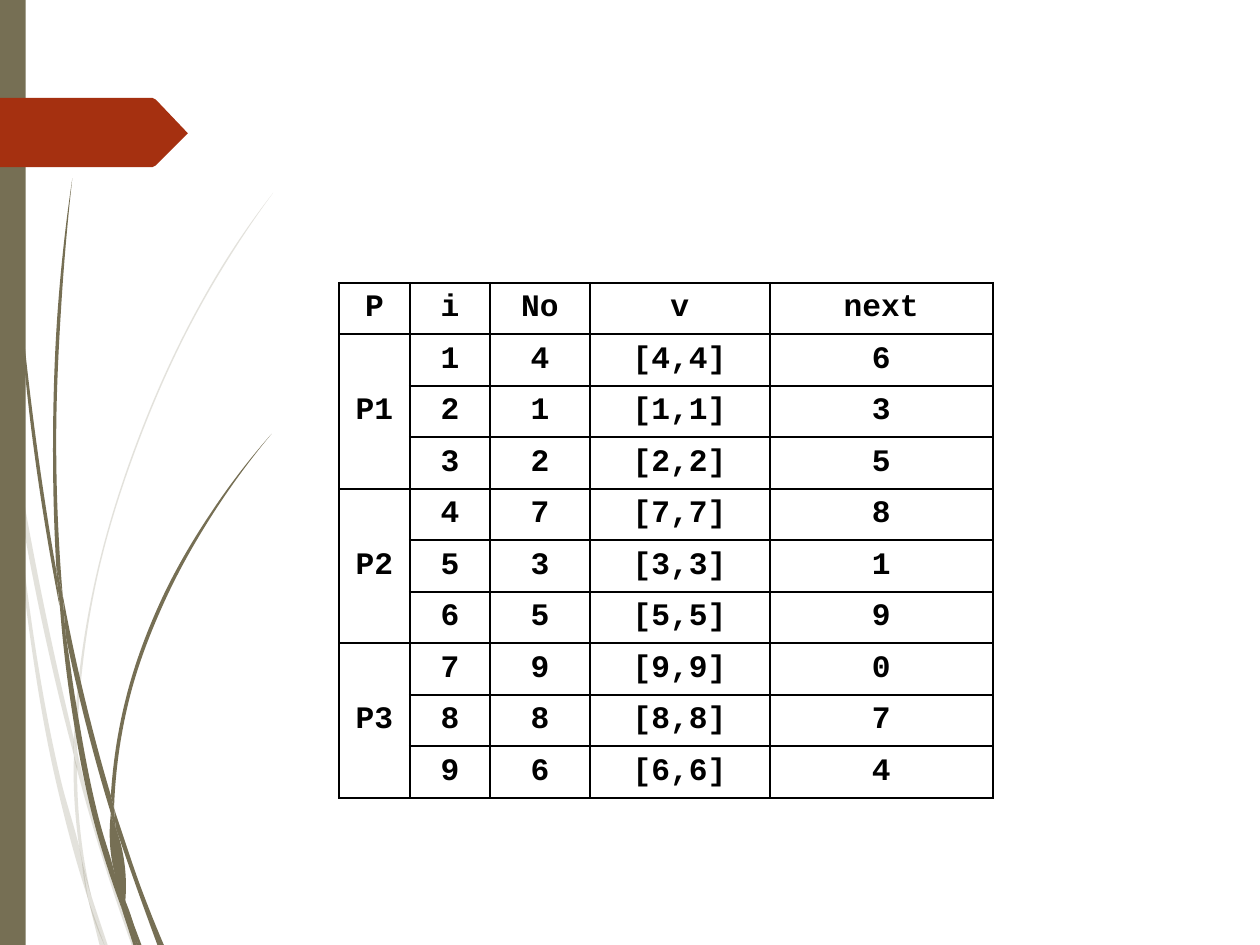
from dataclasses import dataclass
from math import dist

from lxml import etree
from pptx import Presentation
from pptx.dml.color import RGBColor
from pptx.enum.shapes import MSO_SHAPE
from pptx.enum.text import MSO_ANCHOR, PP_ALIGN
from pptx.oxml.ns import qn
from pptx.util import Inches, Pt

RECT = MSO_SHAPE.RECTANGLE
MIDDLE = MSO_ANCHOR.MIDDLE
CENTER = PP_ALIGN.CENTER
COLORS = {"olive": "766F54", "rust": "A53010", "black": "000000", "white": "FFFFFF"}
FONT = "Courier New"
BLANK = 6
Points = list[tuple[float, float]]


@dataclass
class Blade:
    """A piece of grass between a smooth edge and the edge leading back."""
    edge: Points
    back: Points


@dataclass
class Column:
    """A table column: heading, width in inches and cell texts."""
    head: str
    width: float
    cells: list[str]


PALE_GRASS = [
    Blade([(.09, 2.95), (.31, 4.09), (.46, 4.7)], [(.46, 4.6), (.34, 4.08), (.08, 2.71)]),
    Blade([(.48, 4.79), (.67, 5.44), (.82, 5.88)],
          [(.84, 5.88), (.69, 5.42), (.5, 4.76), (.48, 4.67)]),
    Blade([(.57, 5.58), (.65, 5.88)], [(.67, 5.88)]),
    Blade([(.06, 2.75), (.15, 3.68), (.35, 4.87), (.5, 5.44), (.55, 5.6)],
          [(.54, 5.54), (.51, 5.35), (.38, 4.86), (.17, 3.68), (.09, 2.95), (.06, 2.75)]),
    Blade([(.46, 4.7), (.47, 5.07), (.51, 5.36), (.57, 5.58)],
          [(.56, 5.54), (.49, 5.06), (.48, 4.77)]),
    Blade([(.48, 4.67), (.6, 3.62), (.87, 2.73), (1.24, 1.92), (1.46, 1.55), (1.7, 1.2)],
          [(1.7, 1.2), (1.45, 1.55), (1.23, 1.92), (.86, 2.73), (.59, 3.62), (.46, 4.6)]),
    Blade([(.55, 5.6), (.62, 5.88)], [(.65, 5.88)]),
    Blade([(.46, 4.6), (.46, 4.7), (.48, 4.79)], [(.48, 4.67)]),
    Blade([(.51, 5.36), (.55, 5.6), (.65, 5.88)], [(.57, 5.58), (.53, 5.43)]),
]
DARK_GRASS = [
    Blade([(.02, 0), (.04, .86), (.11, 1.83), (.21, 2.79), (.37, 3.77)],
          [(.35, 3.55), (.23, 2.78), (.12, 1.82), (.05, .86), (.02, 0)]),
    Blade([(.41, 3.96), (.57, 4.64), (.69, 5.06)], [(.69, 4.95), (.6, 4.63), (.39, 3.7)]),
    Blade([(.72, 5.15), (.86, 5.55), (.98, 5.88)],
          [(1.02, 5.88), (.88, 5.53), (.73, 5.09), (.71, 5.03)]),
    Blade([(.37, 3.74), (.44, 4.37), (.6, 5.17), (.72, 5.55), (.76, 5.66)],
          [(.75, 5.62), (.71, 5.42), (.63, 5.15), (.47, 4.36), (.41, 3.96), (.37, 3.74)]),
    Blade([(.45, 1.11), (.38, 1.92), (.35, 2.74), (.39, 3.7)],
          [(.35, 3.52), (.33, 2.74), (.36, 1.92), (.45, 1.11)]),
    Blade([(.79, 5.64), (.86, 5.88)], [(.88, 5.88)]),
    Blade([(.35, 3.52), (.37, 3.74), (.41, 3.96)], [(.39, 3.7)]),
    Blade([(.71, 5.03), (.81, 4.33), (1.03, 3.73), (1.33, 3.19), (1.69, 2.7)],
          [(1.69, 2.7), (1.32, 3.18), (1.01, 3.72), (.79, 4.32), (.69, 4.95)]),
    Blade([(.76, 5.66), (.83, 5.88)], [(.85, 5.88)]),
    Blade([(.69, 5.06), (.71, 5.42), (.79, 5.64)], [(.78, 5.61), (.72, 5.15), (.7, 5.1)]),
    Blade([(.69, 4.95), (.69, 5.06), (.72, 5.15)], [(.71, 5.03)]),
    Blade([(.71, 5.42), (.76, 5.66), (.85, 5.88)], [(.86, 5.88), (.79, 5.63), (.75, 5.54)]),
]
FLAG = [(0, .61), (.95, .61), (.97, .62), (1.16, .82), (1.17, .83), (1.16, .84),
        (.97, 1.03), (.95, 1.04), (0, 1.04)]

GROUP_SIZE = 3
ROW_HEIGHT = .32
NUMBERS = [4, 1, 2, 7, 3, 5, 9, 8, 6]
NEXT = [6, 3, 5, 8, 1, 9, 0, 7, 4]
COLUMNS = [
    Column("P", .44, ["" if i % GROUP_SIZE else f"P{i // GROUP_SIZE + 1}"
                      for i in range(len(NUMBERS))]),
    Column("i", .5, [str(i + 1) for i in range(len(NUMBERS))]),
    Column("No", .62, [str(n) for n in NUMBERS]),
    Column("v", 1.12, [f"[{n},{n}]" for n in NUMBERS]),
    Column("next", 1.39, [str(n) for n in NEXT]),
]


def controls(pts: Points) -> list[Points]:
    """Give the two Bezier control points of each segment of a smooth edge."""
    if len(pts) < 3:
        return [[a, b] for a, b in zip(pts, pts[1:])]
    gaps = [dist(a, b) for a, b in zip(pts, pts[1:])]
    axes = []
    for vals in zip(*pts):
        slopes = [(b - a) / g for a, b, g in zip(vals, vals[1:], gaps)]
        inner = [(m * h + n * g) / (g + h)
                 for m, n, g, h in zip(slopes, slopes[1:], gaps, gaps[1:])]
        tans = [2 * slopes[0] - inner[0], *inner, 2 * slopes[-1] - inner[-1]]
        axes.append([(vals[k] + tans[k] * g / 3, vals[k + 1] - tans[k + 1] * g / 3)
                     for k, g in enumerate(gaps)])
    return [list(zip(xs, ys)) for xs, ys in zip(*axes)]


def paint(sp, color: str, opacity: int = 100) -> None:
    """Fill a shape plainly, without line or shadow."""
    sp.shadow.inherit = False
    sp.line.fill.background()
    sp.fill.solid()
    sp.fill.fore_color.rgb = RGBColor.from_string(COLORS[color])
    if opacity < 100:
        clr = sp.fill._xPr.find(".//" + qn("a:srgbClr"))
        etree.SubElement(clr, qn("a:alpha"), val=str(opacity * 1000))


def add_outline(shapes, pts: Points, color: str, opacity: int = 100):
    """Draw a closed filled outline."""
    first, *rest = [(Inches(x), Inches(y)) for x, y in pts]
    builder = shapes.build_freeform(*first)
    builder.add_line_segments(rest)
    sp = builder.convert_to_shape()
    paint(sp, color, opacity)
    return sp


def add_blade(shapes, blade: Blade, opacity: int) -> None:
    """Draw a blade, bending the segments of both edges."""
    sp = add_outline(shapes, blade.edge + blade.back, "olive", opacity)
    left = min(x for x, _ in blade.edge + blade.back)
    top = min(y for _, y in blade.edge + blade.back)
    bends = [*controls(blade.edge), None, *controls(blade.back)]
    for node, bend in zip(list(sp._element.iter(qn("a:lnTo"))), bends):
        if bend:
            node.tag = qn("a:cubicBezTo")
            for k, (x, y) in enumerate(bend):
                pt = etree.Element(qn("a:pt"), x=str(Inches(x - left)), y=str(Inches(y - top)))
                node.insert(k, pt)


def add_grass(shapes, blades: list[Blade], opacity: int) -> None:
    """Draw a group of grass blades."""
    group = shapes.add_group_shape()
    for blade in blades:
        add_blade(group.shapes, blade, opacity)


def style_cell(cell, text: str) -> None:
    """Give a cell its borders, fill and centred text."""
    tc_pr = cell._tc.get_or_add_tcPr()
    for side in ("lnL", "lnR", "lnT", "lnB"):
        ln = etree.SubElement(tc_pr, qn(f"a:{side}"), w=str(Pt(1)))
        fill = etree.SubElement(ln, qn("a:solidFill"))
        etree.SubElement(fill, qn("a:srgbClr"), val=COLORS["black"])
    cell.fill.solid()
    cell.fill.fore_color.rgb = RGBColor.from_string(COLORS["white"])
    p = cell.text_frame.paragraphs[0]
    p.alignment = CENTER
    if text:
        r = p.add_run()
        r.text = text
        r.font.name, r.font.size, r.font.bold = FONT, Pt(14), True
        r.font.color.rgb = RGBColor.from_string(COLORS["black"])


def add_list_table(shapes) -> None:
    """Draw the linked-list table with merged process cells."""
    rows = len(NUMBERS) + 1
    width = sum(col.width for col in COLUMNS)
    table = shapes.add_table(rows, len(COLUMNS), Inches(2.11), Inches(1.76),
                             Inches(width), Inches(ROW_HEIGHT * rows)).table
    for row in table.rows:
        row.height = Inches(ROW_HEIGHT)
    for c, col in enumerate(COLUMNS):
        table.columns[c].width = Inches(col.width)
        for r, text in enumerate([col.head, *col.cells]):
            style_cell(table.cell(r, c), text)
    for top in range(1, rows, GROUP_SIZE):
        cell = table.cell(top, 0)
        cell.merge(table.cell(top + GROUP_SIZE - 1, 0))
        cell.vertical_anchor = MIDDLE


prs = Presentation()
prs.slide_width, prs.slide_height = Inches(7.84), Inches(5.88)
s = prs.slides.add_slide(prs.slide_layouts[BLANK])
add_grass(s.shapes, PALE_GRASS, 20)
add_grass(s.shapes, DARK_GRASS, 100)
paint(s.shapes.add_shape(RECT, 0, 0, Inches(.16), prs.slide_height), "olive")
add_outline(s.shapes, FLAG, "rust")
add_list_table(s.shapes)
prs.save("out.pptx")
